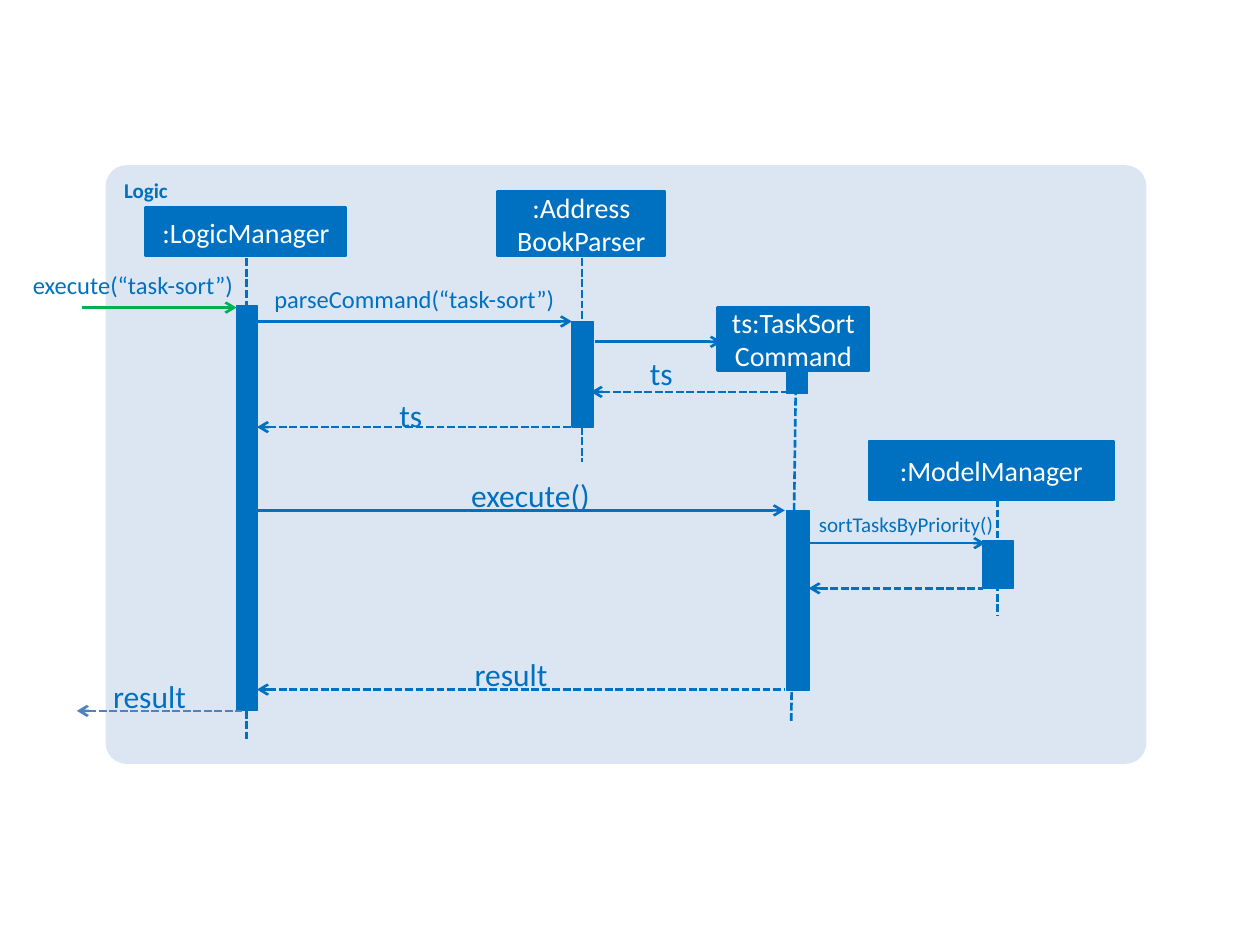
from lxml import etree
from pptx import Presentation
from pptx.dml.color import RGBColor
from pptx.enum.dml import MSO_LINE
from pptx.enum.shapes import MSO_CONNECTOR, MSO_SHAPE
from pptx.enum.text import MSO_ANCHOR, PP_ALIGN
from pptx.oxml.ns import qn
from pptx.util import Cm, Pt

RECT, ROUND_RECT = MSO_SHAPE.RECTANGLE, MSO_SHAPE.ROUNDED_RECTANGLE
STRAIGHT, DASH = MSO_CONNECTOR.STRAIGHT, MSO_LINE.SQUARE_DOT
LEFT, CENTER, RIGHT = PP_ALIGN.LEFT, PP_ALIGN.CENTER, PP_ALIGN.RIGHT
TOP, MIDDLE = MSO_ANCHOR.TOP, MSO_ANCHOR.MIDDLE

BLUE = RGBColor(0x00, 0x70, 0xC0)
PALE = RGBColor(0xDC, 0xE6, 0xF2)
GREEN = RGBColor(0x00, 0xB0, 0x50)
STEEL = RGBColor(0x4F, 0x81, 0xBD)
WHITE = RGBColor(0xFF, 0xFF, 0xFF)
FONT = "Calibri"

# Lengths are in cm; parts are measured from the panel's top left corner.
PANEL = (2.13, 3.33, 20.98, 12.07)

# head lines, head box, lifeline (x1, y1, x2, y2), activation bars
LIFELINES = [
    ([":LogicManager"], (0.81, 0.86, 4.04, 0.97),
     (2.84, 1.88, 2.84, 11.56), [(2.64, 2.84, 0.43, 8.15)]),
    ([":Address", "BookParser"], (7.9, 0.53, 3.38, 1.3),
     (9.6, 1.88, 9.6, 5.99), [(9.4, 3.15, 0.43, 2.13)]),
    (["ts:TaskSort", "Command"], (12.34, 2.87, 3.05, 1.27),
     (13.92, 3.84, 13.82, 11.2),
     [(13.72, 3.84, 0.43, 0.76), (13.72, 6.96, 0.46, 3.63)]),
    ([":ModelManager"], (15.39, 5.56, 4.93, 1.19),
     (17.98, 6.73, 17.98, 9.07), [(17.68, 7.57, 0.61, 0.97)]),
]

# left x, right x, y, colour
CALLS = [
    (-0.48, 2.64, 2.87, GREEN),
    (3.07, 9.4, 3.15, BLUE),
    (9.86, 12.42, 3.56, BLUE),
    (3.05, 13.69, 6.96, BLUE),
    (14.17, 17.73, 7.62, BLUE),
]
RETURNS = [
    (9.78, 13.92, 4.57, BLUE),
    (3.05, 9.58, 5.28, BLUE),
    (14.17, 17.68, 8.53, BLUE),
    (3.05, 13.69, 10.57, BLUE),
    (-0.58, 2.74, 11.0, STEEL),
]

# text, box, size, alignment
LABELS = [
    ("execute(“task-sort”)", (-1.88, 2.11, 4.45, 0.61), 14, RIGHT),
    ("parseCommand(“task-sort”)", (3.4, 2.39, 5.97, 0.61), 14, LEFT),
    ("ts", (10.97, 3.81, 0.61, 0.76), 18, LEFT),
    ("ts", (5.92, 4.65, 0.61, 0.76), 18, LEFT),
    ("execute()", (7.37, 6.27, 2.97, 0.76), 18, LEFT),
    ("sortTasksByPriority()", (14.38, 6.99, 3.61, 0.51), 12, LEFT),
    ("result", (7.44, 9.88, 1.73, 0.76), 18, LEFT),
    ("result", (0.15, 10.31, 2.11, 0.76), 18, LEFT),
]


def write(sp, lines, size, color, align=LEFT, anchor=TOP, margin=0, bold=False):
    """Fill a shape's text frame, one paragraph per line."""
    tf = sp.text_frame
    tf.word_wrap = True
    tf.vertical_anchor = anchor
    tf.margin_left = tf.margin_right = Cm(margin)
    tf.margin_top = tf.margin_bottom = Cm(margin / 2)
    for i, line in enumerate(lines):
        p = tf.add_paragraph() if i else tf.paragraphs[0]
        p.alignment = align
        r = p.add_run()
        r.text = line
        r.font.name, r.font.size, r.font.bold = FONT, Pt(size), bold
        r.font.color.rgb = color


def add_box(s, origin, box, fill, line_width=None, kind=RECT):
    """Add a filled shape, outlined in its own colour when a width is given."""
    x, y, w, h = box
    sp = s.shapes.add_shape(kind, Cm(origin[0] + x), Cm(origin[1] + y), Cm(w), Cm(h))
    sp.shadow.inherit = False
    sp.fill.solid()
    sp.fill.fore_color.rgb = fill
    if line_width:
        sp.line.color.rgb = fill
        sp.line.width = Pt(line_width)
    else:
        sp.line.fill.background()
    return sp


def add_line(s, origin, ends, color, dashed=False, arrow=None):
    """Add a straight line; arrow is None, 'headEnd' or 'tailEnd'."""
    ox, oy = origin[:2]
    x1, y1, x2, y2 = ends
    c = s.shapes.add_connector(STRAIGHT, Cm(ox + x1), Cm(oy + y1),
                               Cm(ox + x2), Cm(oy + y2))
    c.line.color.rgb = color
    c.line.width = Pt(1.5)
    if dashed:
        c.line.dash_style = DASH
    spPr = c._element.spPr
    if arrow:
        etree.SubElement(spPr.find(qn("a:ln")), qn("a:" + arrow), type="arrow")
    etree.SubElement(spPr, qn("a:effectLst"))


def add_panel(s, box):
    """Draw the titled background panel."""
    sp = add_box(s, (0, 0), box, PALE, kind=ROUND_RECT)
    sp.adjustments[0] = 0.035
    write(sp, ["Logic"], 12, BLUE, margin=0.25, bold=True)


def add_lifelines(s, box):
    """Draw each participant: lifeline, activation bars, then head."""
    for lines, head, ends, bars in LIFELINES:
        add_line(s, box, ends, BLUE, dashed=True)
        for bar in bars:
            add_box(s, box, bar, BLUE, 0.75)
        sp = add_box(s, box, head, BLUE, 1.5)
        write(sp, lines, 16, WHITE, CENTER, MIDDLE)


def add_messages(s, box):
    """Draw call arrows, return arrows and their labels."""
    for rows, dashed, arrow in ((CALLS, False, "tailEnd"), (RETURNS, True, "headEnd")):
        for x1, x2, y, color in rows:
            add_line(s, box, (x1, y, x2, y), color, dashed, arrow)
    for text, (x, y, w, h), size, align in LABELS:
        sp = s.shapes.add_textbox(Cm(box[0] + x), Cm(box[1] + y), Cm(w), Cm(h))
        write(sp, [text], size, BLUE, align)


prs = Presentation()
prs.slide_width, prs.slide_height = Cm(25.4), Cm(19.05)
s = prs.slides.add_slide(prs.slide_layouts[6])
add_panel(s, PANEL)
add_lifelines(s, PANEL)
add_messages(s, PANEL)
prs.save("out.pptx")
